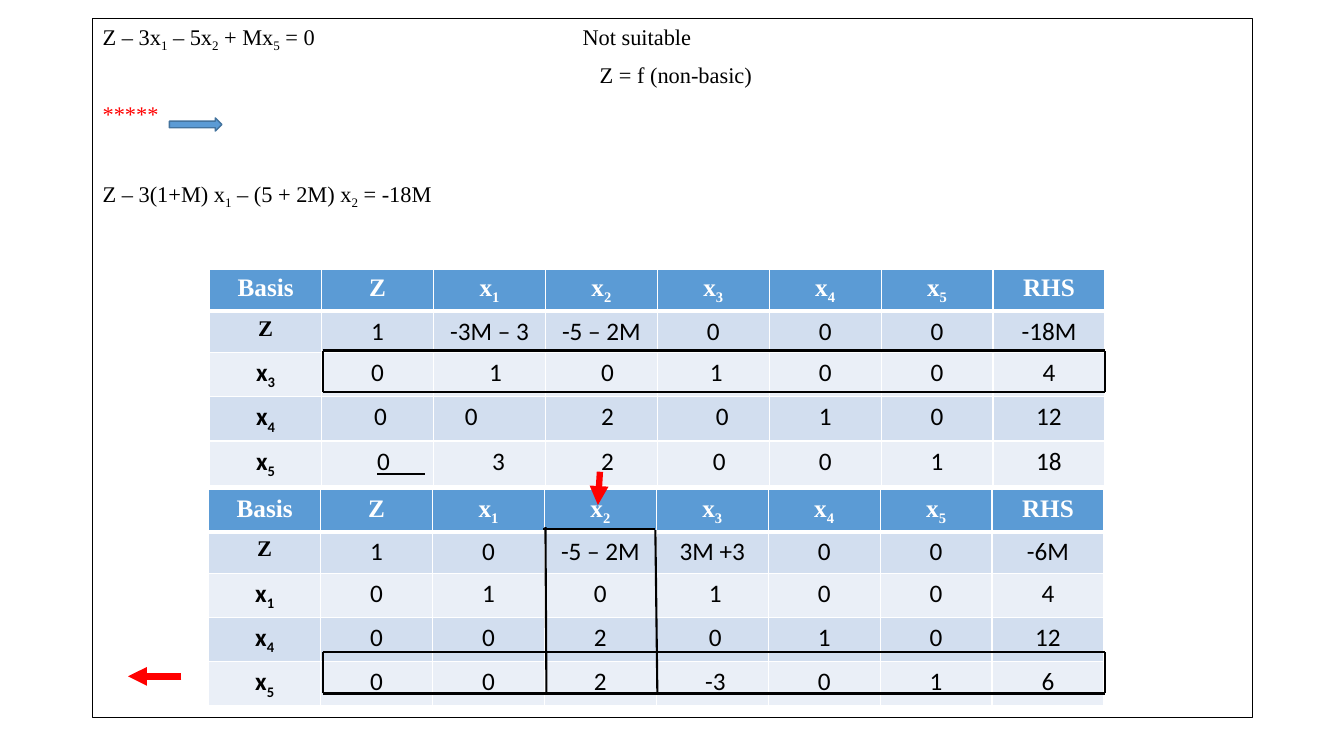
from dataclasses import dataclass

from lxml import etree
from pptx import Presentation
from pptx.dml.color import RGBColor
from pptx.enum.shapes import MSO_CONNECTOR, MSO_SHAPE
from pptx.enum.text import MSO_ANCHOR, PP_ALIGN
from pptx.oxml.ns import qn
from pptx.util import Inches, Pt

LINE = MSO_CONNECTOR.STRAIGHT
RECTANGLE = MSO_SHAPE.RECTANGLE
RIGHT_ARROW = MSO_SHAPE.RIGHT_ARROW
TOP = MSO_ANCHOR.TOP
LEFT = PP_ALIGN.LEFT
CENTER = PP_ALIGN.CENTER


@dataclass(frozen=True)
class Theme:
    black: str = "000000"
    white: str = "FFFFFF"
    red: str = "FF0000"
    blue: str = "5B9BD5"
    blue_edge: str = "43739E"
    bands: tuple = ("D2DEEF", "EAEFF7")
    serif: str = "Times New Roman"
    sans: str = "Calibri"
    body_size: int = 16
    table_size: int = 18


THEME = Theme()
BODY_LEFT, BODY_TOP, BODY_WIDTH, BODY_HEIGHT = 0.92, 0.18, 11.5, 6.94
COLUMN_WIDTH, ROW_HEIGHT = 1.11, 0.41
CELL_MARGIN, NUDGE = 0.1, 0.06
BOX_LEFT, BOX_RIGHT = 3.2, 10.96
HEADER = ["Basis", "Z", "x_1", "x_2", "x_3", "x_4", "x_5", "RHS"]

EQUATIONS = [
    ("Z – 3x_1 – 5x_2 + Mx_5 = 0\tNot suitable", THEME.black, 0, 0),
    ("Z = f (non-basic)", THEME.black, 10, 4.93),
    ("*****", THEME.red, 10, 0),
    ("Z – 3(1+M) x_1 – (5 + 2M) x_2 = -18M", THEME.black, 38, 0),
]
FIRST_TABLEAU = [
    ["Z", "1", "-3M – 3", "-5 – 2M", "0", "0", "0", "-18M"],
    ["x_3", "0", "1", "0", "1", "0", "0", "4"],
    ["x_4", "0", "0", "2", "0", "1", "0", "12"],
    ["x_5", "0", "3", "2", "0", "0", "1", "18"],
]
SECOND_TABLEAU = [
    ["Z", "1", "0", "-5 – 2M", "3M +3", "0", "0", "-6M"],
    ["x_1", "0", "1", "0", "1", "0", "0", "4"],
    ["x_4", "0", "0", "2", "0", "1", "0", "12"],
    ["x_5", "0", "0", "2", "-3", "0", "1", "6"],
]
FIRST_NUDGES = {
    (2, 2): 2, (2, 3): 2, (2, 4): 1,
    (3, 1): 1, (3, 2): -6, (3, 3): 2, (3, 4): 3,
    (4, 1): 2, (4, 2): 3, (4, 3): 2, (4, 4): 2,
}
SECOND_NUDGES = {(2, 4): 1, (3, 4): 1, (4, 4): 1}


def color(value):
    return RGBColor.from_string(value)


def write(paragraph, text, font_name, size, ink, bold=False):
    font = paragraph.font
    font.name, font.size, font.bold = font_name, Pt(size), bold
    font.color.rgb = color(ink)
    first, *rest = text.split("_")
    paragraph.add_run().text = first
    for part in rest:
        subscript = paragraph.add_run()
        subscript.text = part[0]
        subscript._r.get_or_add_rPr().set("baseline", "-25000")
        if part[1:]:
            paragraph.add_run().text = part[1:]


def add_shape(slide, kind, left, top, width, height, edge, weight, fill=None):
    shape = slide.shapes.add_shape(
        kind, Inches(left), Inches(top), Inches(width), Inches(height))
    shape.shadow.inherit = False
    if fill:
        shape.fill.solid()
        shape.fill.fore_color.rgb = color(fill)
    else:
        shape.fill.background()
    shape.line.color.rgb = color(edge)
    shape.line.width = Pt(weight)
    return shape


def add_equations(slide):
    shape = add_shape(slide, RECTANGLE, BODY_LEFT, BODY_TOP, BODY_WIDTH,
                      BODY_HEIGHT, THEME.black, 0.75)
    frame = shape.text_frame
    frame.word_wrap = True
    frame.vertical_anchor = TOP
    for index, (text, ink, space, indent) in enumerate(EQUATIONS):
        paragraph = frame.add_paragraph() if index else frame.paragraphs[0]
        paragraph.alignment = LEFT
        paragraph.line_spacing = 0.9
        paragraph.space_before = Pt(space)
        properties = paragraph._p.get_or_add_pPr()
        properties.set("marL", str(Inches(indent)))
        if "\t" in text:
            tabs = etree.SubElement(properties, qn("a:tabLst"))
            etree.SubElement(tabs, qn("a:tab"), pos=str(Inches(4.76)), algn="l")
        write(paragraph, text, THEME.serif, THEME.body_size, ink)


def set_borders(cell, top, bottom):
    properties = cell._tc.get_or_add_tcPr()
    for side, weight in (("L", 1), ("R", 1), ("T", top), ("B", bottom)):
        border = etree.SubElement(properties, qn(f"a:ln{side}"), w=str(Pt(weight)))
        fill = etree.SubElement(border, qn("a:solidFill"))
        etree.SubElement(fill, qn("a:srgbClr"), val=THEME.white)


def cell_style(row, column, text):
    if row == 0:
        return THEME.serif, THEME.table_size, THEME.white, True
    if column == 0 and text == "Z":
        return THEME.serif, THEME.body_size, THEME.black, True
    return THEME.sans, THEME.table_size, THEME.black, column == 0


def add_tableau(slide, left, top, body, nudges):
    rows = [HEADER, *body]
    table = slide.shapes.add_table(
        len(rows), len(HEADER), Inches(left), Inches(top),
        Inches(COLUMN_WIDTH * len(HEADER)), Inches(ROW_HEIGHT * len(rows))).table
    for column in table.columns:
        column.width = Inches(COLUMN_WIDTH)
    for row_index, row in enumerate(rows):
        table.rows[row_index].height = Inches(ROW_HEIGHT)
        for column_index, text in enumerate(row):
            cell = table.cell(row_index, column_index)
            set_borders(cell, 3 if row_index == 1 else 1, 1 if row_index else 3)
            cell.fill.solid()
            cell.fill.fore_color.rgb = color(
                THEME.bands[(row_index - 1) % 2] if row_index else THEME.blue)
            nudge = nudges.get((row_index, column_index), 0) * NUDGE
            cell.margin_left = Inches(CELL_MARGIN + max(nudge, 0))
            cell.margin_right = Inches(CELL_MARGIN + max(-nudge, 0))
            paragraph = cell.text_frame.paragraphs[0]
            paragraph.alignment = CENTER
            write(paragraph, text, *cell_style(row_index, column_index, text))


def add_line(slide, start, end, ink=THEME.black, weight=1.5, arrow=False):
    connector = slide.shapes.add_connector(
        LINE, *(Inches(length) for length in (*start, *end)))
    connector.line.color.rgb = color(ink)
    connector.line.width = Pt(weight)
    if arrow:
        etree.SubElement(connector.line._get_or_add_ln(), qn("a:tailEnd"),
                         type="triangle")
    etree.SubElement(connector._element.spPr, qn("a:effectLst"))


def add_row_box(slide, top, bottom, top_weight=1.5):
    add_line(slide, (BOX_LEFT, top), (BOX_RIGHT, top), weight=top_weight)
    add_line(slide, (BOX_LEFT, bottom), (BOX_RIGHT, bottom))
    for side in (BOX_LEFT, BOX_RIGHT):
        add_line(slide, (side, bottom), (side, top))


def add_column_box(slide):
    add_line(slide, (5.41, 5.23), (5.42, 6.88))
    add_line(slide, (6.5, 5.26), (6.52, 6.87))
    add_line(slide, (5.39, 5.25), (6.5, 5.25))


def main():
    presentation = Presentation()
    presentation.slide_width = Inches(13.33)
    presentation.slide_height = Inches(7.5)
    slide = presentation.slides.add_slide(presentation.slide_layouts[6])
    add_equations(slide)
    add_shape(slide, RIGHT_ARROW, 1.68, 1.17, 0.52, 0.13,
              THEME.blue_edge, 1, THEME.blue)
    add_tableau(slide, 2.08, 2.67, FIRST_TABLEAU, FIRST_NUDGES)
    add_row_box(slide, 3.48, 3.89, 2.25)
    add_line(slide, (3.74, 4.7), (4.22, 4.7))
    add_tableau(slide, 2.07, 4.86, SECOND_TABLEAU, SECOND_NUDGES)
    add_row_box(slide, 6.47, 6.88)
    add_column_box(slide)
    add_line(slide, (1.8, 6.71), (1.27, 6.71), THEME.red, 4.5, True)
    add_line(slide, (5.95, 4.68), (5.93, 5.01), THEME.red, 4.5, True)
    presentation.save("out.pptx")


if __name__ == "__main__":
    main()
